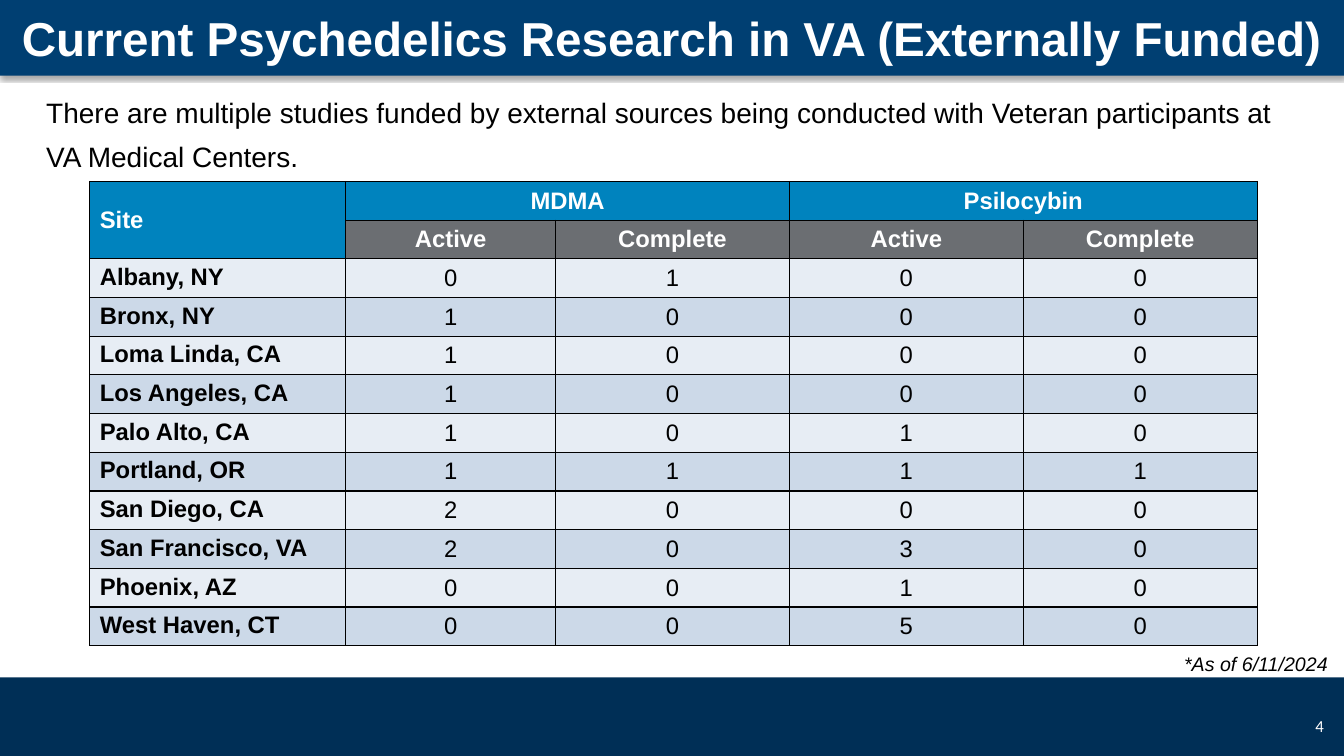
"""Build the slide on externally funded psychedelics research."""
from lxml import etree
from pptx import Presentation
from pptx.dml.color import RGBColor
from pptx.enum.shapes import MSO_SHAPE
from pptx.enum.text import MSO_ANCHOR, PP_ALIGN
from pptx.oxml import parse_xml
from pptx.oxml.ns import nsdecls, qn
from pptx.util import Inches, Pt

LEFT, CENTER, RIGHT = PP_ALIGN.LEFT, PP_ALIGN.CENTER, PP_ALIGN.RIGHT
TOP, MIDDLE = MSO_ANCHOR.TOP, MSO_ANCHOR.MIDDLE
RECTANGLE = MSO_SHAPE.RECTANGLE

TITLE = "Current Psychedelics Research in VA (Externally Funded)"
INTRO = ("There are multiple studies funded by external sources being conducted "
         "with Veteran participants at VA Medical Centers.")
DATE_NOTE = "*As of 6/11/2024"
PAGE_NUMBER = "4"
DRUGS = ["MDMA", "Psilocybin"]
STATUSES = ["Active", "Complete"]
SITES = [
    ("Albany, NY", 0, 1, 0, 0),
    ("Bronx, NY", 1, 0, 0, 0),
    ("Loma Linda, CA", 1, 0, 0, 0),
    ("Los Angeles, CA", 1, 0, 0, 0),
    ("Palo Alto, CA", 1, 0, 1, 0),
    ("Portland, OR", 1, 1, 1, 1),
    ("San Diego, CA", 2, 0, 0, 0),
    ("San Francisco, VA", 2, 0, 3, 0),
    ("Phoenix, AZ", 0, 0, 1, 0),
    ("West Haven, CT", 0, 0, 5, 0),
]

WIDTH, HEIGHT = 13.33, 7.5
HEADER_HEIGHT, FOOTER_TOP = 0.75, 6.72
TABLE_LEFT, TABLE_TOP, TABLE_HEIGHT = 0.89, 1.8, 4.61
COLUMNS = [2.54, 2.08, 2.32, 2.32, 2.32]
WHITE, BLACK = "FFFFFF", "000000"
HEADER_BLUE, FOOTER_BLUE = "003F72", "002F56"
DRUG_BLUE, STATUS_GRAY = "0083BE", "6B6E72"
BANDS = ["E7EDF4", "CCD9E8"]


def paint(fill, color):
    fill.solid()
    fill.fore_color.rgb = RGBColor.from_string(color)


def style(frame, text, size, color, align, bold=False, italic=False, name="Arial"):
    frame.text = text
    para = frame.paragraphs[0]
    para.alignment = align
    font = para.runs[0].font
    font.name, font.size, font.bold, font.italic = name, Pt(size), bold, italic
    font.color.rgb = RGBColor.from_string(color)
    return para


def add_bar(page, top, height, color):
    bar = page.shapes.add_shape(RECTANGLE, 0, Inches(top), Inches(WIDTH), Inches(height))
    bar.shadow.inherit = False
    paint(bar.fill, color)
    bar.line.fill.background()
    return bar


def add_shadow(bar):
    effects = bar._element.spPr.find(qn("a:effectLst"))
    effects.append(parse_xml(
        f'<a:outerShdw {nsdecls("a")} blurRad="{Pt(3.1)}" dist="{Pt(1.8)}" dir="5400000" '
        f'algn="t" rotWithShape="0"><a:srgbClr val="{BLACK}"><a:alpha val="35000"/>'
        '</a:srgbClr></a:outerShdw>'))


def add_text(page, area, text, size, color, align, anchor=TOP, wrap=True, **look):
    box = page.shapes.add_textbox(*map(Inches, area))
    box.text_frame.word_wrap = wrap
    box.text_frame.vertical_anchor = anchor
    return style(box.text_frame, text, size, color, align, **look)


def add_borders(cell):
    properties = cell._tc.get_or_add_tcPr()
    for index, side in enumerate(("lnL", "lnR", "lnT", "lnB")):
        line = etree.Element(qn(f"a:{side}"), w=str(Pt(1)))
        solid = etree.SubElement(line, qn("a:solidFill"))
        etree.SubElement(solid, qn("a:srgbClr"), val=BLACK)
        properties.insert(index, line)


def add_site_table(page):
    drug_row = ["Site"] + [text for drug in DRUGS for text in (drug, "")]
    status_row = [""] + STATUSES * len(DRUGS)
    rows = [drug_row, status_row, *SITES]
    fills = [DRUG_BLUE, STATUS_GRAY] + [BANDS[i % 2] for i in range(len(SITES))]
    area = (TABLE_LEFT, TABLE_TOP, sum(COLUMNS), TABLE_HEIGHT)
    table = page.shapes.add_table(len(rows), len(COLUMNS), *map(Inches, area)).table
    for column, width in zip(table.columns, COLUMNS):
        column.width = Inches(width)
    for r, (values, fill) in enumerate(zip(rows, fills)):
        table.rows[r].height = Inches(TABLE_HEIGHT / len(rows))
        heading = r < 2
        for c, value in enumerate(values):
            cell = table.cell(r, c)
            paint(cell.fill, fill)
            add_borders(cell)
            cell.vertical_anchor = MIDDLE if heading or c else TOP
            if value != "":
                style(cell.text_frame, str(value), 17, WHITE if heading else BLACK,
                      CENTER if c else LEFT, bold=heading or c == 0)
    table.cell(0, 0).merge(table.cell(1, 0))
    for c in range(1, len(COLUMNS), len(STATUSES)):
        table.cell(0, c).merge(table.cell(0, c + 1))


def main():
    deck = Presentation()
    deck.slide_width, deck.slide_height = Inches(WIDTH), Inches(HEIGHT)
    page = deck.slides.add_slide(deck.slide_layouts[6])
    paint(page.background.fill, WHITE)
    add_bar(page, FOOTER_TOP, HEIGHT - FOOTER_TOP, FOOTER_BLUE)
    add_shadow(add_bar(page, 0, HEADER_HEIGHT, HEADER_BLUE))
    intro = add_text(page, (0.36, 0.8, 12.61, 0.99), INTRO, 20, BLACK, LEFT)
    intro.line_spacing, intro.space_after = 1.3, Pt(10)
    add_text(page, (10.12, 7, 3.11, 0.4), PAGE_NUMBER, 12, WHITE, RIGHT, MIDDLE,
             name="Calibri")
    add_text(page, (0, 0, WIDTH, HEADER_HEIGHT), TITLE, 34, WHITE, CENTER, MIDDLE,
             bold=True)
    add_text(page, (11.63, 6.42, 1.64, 0.34), DATE_NOTE, 14, BLACK, RIGHT, wrap=False,
             italic=True)
    add_site_table(page)
    deck.save("out.pptx")


if __name__ == "__main__":
    main()
